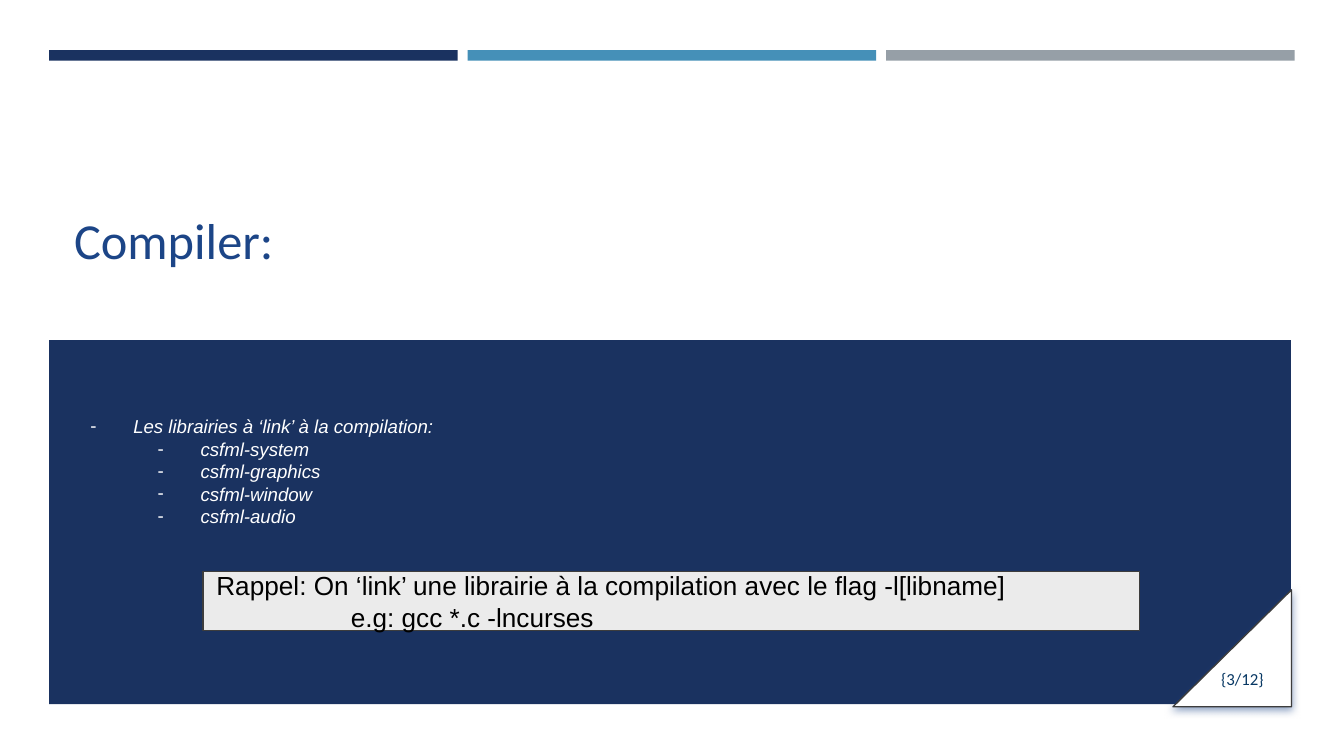
import pptx
import pptx.util
import pptx.dml.color
import pptx.enum.shapes
import pptx.enum.text
import pptx.oxml
import pptx.oxml.ns
from pptx.util import Cm, Pt

COLORS = {
    "navy": "1A3260", "blue": "4590B8", "grey": "969FA7", "title": "1C4587",
    "white": "FFFFFF", "outline": "3D3D3D", "page": "073763",
    "note": "EBEBEB", "black": "000000",
}
SHAPES = pptx.enum.shapes.MSO_SHAPE
ANCHOR = pptx.enum.text.MSO_ANCHOR
LEFT = pptx.enum.text.PP_ALIGN.LEFT

presentation = pptx.Presentation()
presentation.slide_width, presentation.slide_height = Cm(25.4), Cm(14.29)
slide = presentation.slides.add_slide(presentation.slide_layouts[0])


def add_block(preset, left, top, width, height, fill, outline=None):
    block = slide.shapes.add_shape(preset, Cm(left), Cm(top), Cm(width), Cm(height))
    block.shadow.inherit = False
    block.fill.solid()
    block.fill.fore_color.rgb = pptx.dml.color.RGBColor.from_string(COLORS[fill])
    if outline:
        block.line.color.rgb = pptx.dml.color.RGBColor.from_string(COLORS[outline])
        block.line.width = Pt(0.75)
    else:
        block.line.fill.background()
    return block


def style_paragraph(paragraph, font_name, size, color):
    paragraph.alignment = LEFT
    paragraph.font.name = font_name
    paragraph.font.size = Pt(size)
    paragraph.font.color.rgb = pptx.dml.color.RGBColor.from_string(COLORS[color])


# Top bars and content band
for column, color in enumerate(["navy", "blue", "grey"]):
    add_block(SHAPES.RECTANGLE, 0.93 + 7.91 * column, 0.95, 7.72, 0.2, color)
add_block(SHAPES.RECTANGLE, 0.93, 6.43, 23.47, 6.88, "navy")

# Title and list, brought in front of the band
title, libraries = slide.placeholders
for placeholder, left, top, height in [(title, 1.22, 2.13, 3.07), (libraries, 1.07, 7.14, 5.99)]:
    placeholder.left, placeholder.top = Cm(left), Cm(top)
    placeholder.width, placeholder.height = Cm(22.91), Cm(height)
    frame = placeholder.text_frame
    frame.auto_size = pptx.enum.text.MSO_AUTO_SIZE.NONE
    frame.margin_left = frame.margin_right = Cm(0.18)
    frame.margin_top = frame.margin_bottom = Cm(0.1)
    slide.shapes._spTree.append(placeholder._element)

title.text_frame.text = "Compiler:"
title.text_frame.vertical_anchor = ANCHOR.BOTTOM
style_paragraph(title.text_frame.paragraphs[0], "Calibri", 27, "title")

libraries.text_frame.text = "\n".join([
    "Les librairies à ‘link’ à la compilation:",
    "csfml-system", "csfml-graphics", "csfml-window", "csfml-audio",
])
libraries.text_frame.vertical_anchor = ANCHOR.TOP
libraries.text_frame.margin_top = Cm(0.71)
for index, item in enumerate(libraries.text_frame.paragraphs):
    item.level = min(index, 1)
    style_paragraph(item, "Arial", 10, "white")
    item.font.italic = True
    item.space_before = Pt(0)
    item.line_spacing = Pt(12)
    properties = item._p.get_or_add_pPr()
    properties.set("marL", str(Cm(1.27 * (item.level + 1))))
    properties.set("indent", str(Cm(-0.81)))
    for bullet in [
        f'<a:buClr %s><a:srgbClr val="{COLORS["white"]}"/></a:buClr>',
        '<a:buFont %s typeface="Arial"/>',
        '<a:buChar %s char="-"/>',
    ]:
        properties.insert_element_before(
            pptx.oxml.parse_xml(bullet % pptx.oxml.ns.nsdecls("a")),
            "a:tabLst", "a:defRPr", "a:extLst")

# Folded corner with the page number
corner = add_block(SHAPES.RIGHT_TRIANGLE, 22.17, 11.15, 2.24, 2.21, "white", "outline")
corner._element.spPr.xfrm.set("flipH", "1")
effects = corner._element.spPr.find(pptx.oxml.ns.qn("a:effectLst"))
effects.append(pptx.oxml.parse_xml(
    f'<a:outerShdw {pptx.oxml.ns.nsdecls("a")} blurRad="{Pt(4.5)}" dist="{Pt(1.5)}" '
    f'dir="5400000" algn="bl" rotWithShape="0"><a:srgbClr val="{COLORS["title"]}">'
    '<a:alpha val="50000"/></a:srgbClr></a:outerShdw>'))

page = slide.shapes.add_textbox(Cm(22.83), Cm(12.45), Cm(1.42), Cm(0.89)).text_frame
page.word_wrap = True
page.margin_left = page.margin_right = page.margin_top = page.margin_bottom = Cm(0.25)
page.text = "{3/12}"
style_paragraph(page.paragraphs[0], "Calibri", 9, "page")

# Reminder
reminder = add_block(SHAPES.RECTANGLE, 3.84, 10.8, 17.7, 1.12, "note", "outline").text_frame
reminder.vertical_anchor = ANCHOR.MIDDLE
reminder.margin_left = reminder.margin_right = Cm(0.25)
reminder.margin_top = reminder.margin_bottom = Cm(0.25)
reminder.text = ("Rappel: On ‘link’ une librairie à la compilation avec le flag -l[libname]\n"
                 "e.g: gcc *.c -lncurses")
for line in reminder.paragraphs:
    style_paragraph(line, "Arial", 14, "black")
    line.line_spacing = Pt(17)
reminder.paragraphs[1]._p.get_or_add_pPr().set("marL", str(Cm(2.54)))

presentation.save("out.pptx")
